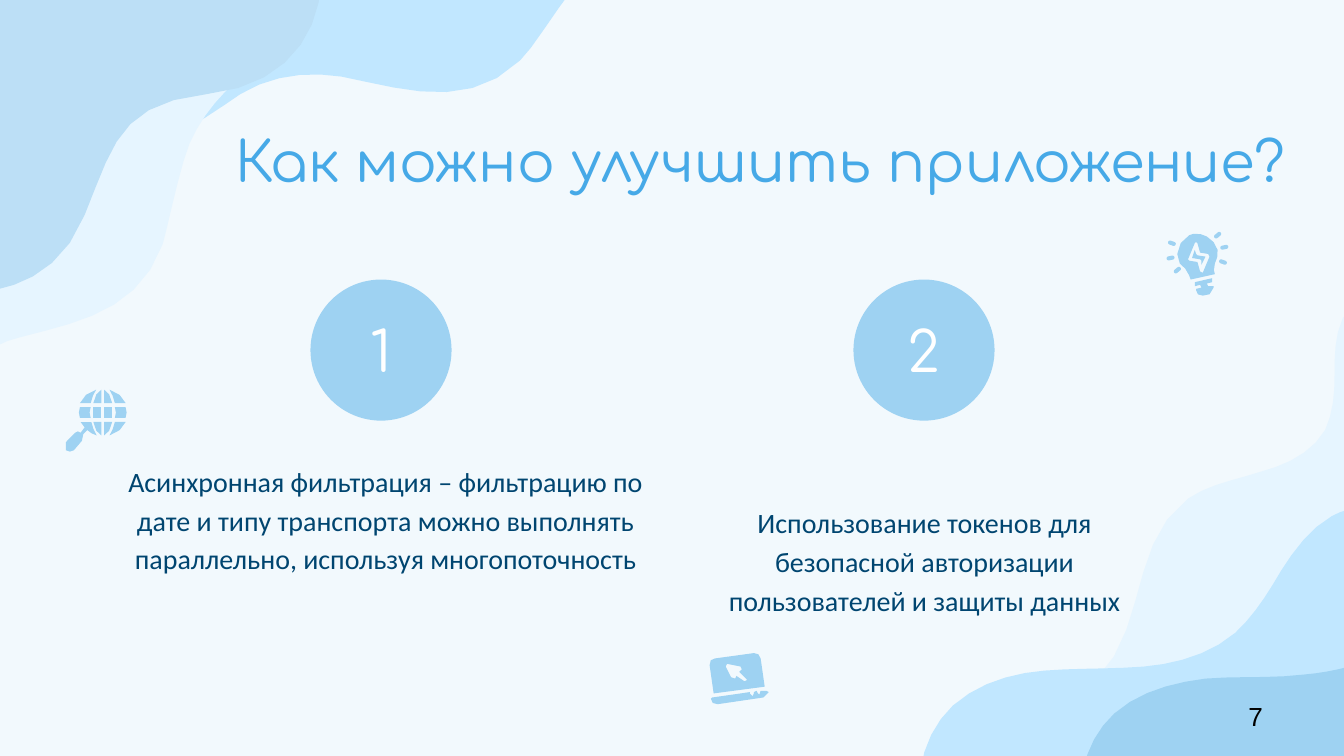
from math import dist, sqrt

from lxml.etree import SubElement
from pptx import Presentation
from pptx.dml.color import RGBColor
from pptx.enum.shapes import MSO_SHAPE
from pptx.enum.text import MSO_ANCHOR, MSO_AUTO_SIZE, PP_ALIGN
from pptx.util import Inches, Pt

THEME = {
    "background": "F2F9FD", "pale": "E6F5FF", "light": "C1E7FF", "mist": "BCDFF6",
    "accent": "9ED2F2", "title": "46A9E7", "body": "004570", "white": "FFFFFF", "black": "000000",
    "heading_font": "Comfortaa", "body_font": "Calibri", "number_font": "Arial",
    "heading_size": 30, "body_size": 15, "number_size": 14,
}

presentation = Presentation()
presentation.slide_width, presentation.slide_height = Inches(10), Inches(5.625)
COLUMN = presentation.slide_width / 10  # the grid is square: a row is as high as a column is wide
slide = presentation.slides.add_slide(presentation.slide_layouts[3])
slide.background.fill.solid()
slide.background.fill.fore_color.rgb = RGBColor.from_string(THEME["background"])


def draw_outline(shapes, outline, color, origin=(0, 0), flip=(1, 1)):
    """Fill closed contours given in grid columns as M, L and C (cubic curve) commands."""
    builder = None
    for contour in outline.split("M")[1:]:
        points = []
        for command in contour.replace("L", "|L").replace("C", "|C").split("|"):
            numbers = [float(word) for word in command.strip("LC ").split()]
            pairs = list(zip(numbers[::2], numbers[1::2]))
            if not command.startswith("C"):
                points += pairs
                continue
            for first in range(0, len(pairs), 3):
                curve = [points[-1], *pairs[first:first + 3]]
                steps = max(1, round(6 * sqrt(dist(curve[0], curve[3]))))  # long curves get more points
                for step in range(1, steps + 1):
                    t = step / steps
                    weights = ((1 - t) ** 3, 3 * t * (1 - t) ** 2, 3 * t * t * (1 - t), t ** 3)
                    points.append(tuple(sum(w * p[axis] for w, p in zip(weights, curve)) for axis in (0, 1)))
        placed = [tuple((o + f * v) * COLUMN for o, f, v in zip(origin, flip, point)) for point in points]
        if builder is None:
            builder = shapes.build_freeform(*placed[0])
        else:
            builder.move_to(*placed[0])
        builder.add_line_segments(placed[1:], close=True)
    paint(builder.convert_to_shape(), color)


def paint(shape, color):
    shape.shadow.inherit = False
    shape.fill.solid()
    shape.fill.fore_color.rgb = RGBColor.from_string(THEME[color])
    shape.line.fill.background()


# Waves in the corners, from back to front
WAVES = [
    ("light", "M 4.62 -.36 C 4.53 -.32 4.45 -.27 4.36 -.19 4.22 -.07 3.98 .35 3.87 .45 3.48 .83 2.99 .66 2.54 .57 "
              "2.28 .53 2.02 .56 1.79 .7 1.59 .83 1.16 1.19 .72 1.05 L 1.03 -.36"),
    ("pale", "M 2.15 .15 C 2.07 .33 1.91 .47 1.76 .6 1.61 .74 1.5 .87 1.41 1.07 1.34 1.24 1.25 1.68 1.21 1.82 "
             "1.03 2.32 .57 2.4 .15 2.51 .05 2.53 -.04 2.58 -.12 2.63 L -.12 .76 -.17 -.17 2.19 -.17 "
             "C 2.21 -.07 2.2 .05 2.15 .15"),
    ("mist", "M -.12 -.15 L 2.39 -.15 C 2.38 .25 2.13 .64 1.54 .7 .88 .77 .84 1.09 .63 1.6 .44 2.08 .04 2.15 -.12 2.17"),
    ("pale", "M 10.04 5.86 L 10.04 2.31 C 10.02 2.33 10 2.35 9.99 2.37 9.93 2.5 9.93 2.65 9.93 2.79 "
             "9.93 2.93 9.92 3.07 9.86 3.2 9.76 3.37 9.57 3.46 9.38 3.51 9.2 3.57 9 3.6 8.84 3.71 "
             "8.4 4.03 8.54 4.69 8.15 5.06 7.86 5.33 7.2 5.37 7.03 5.8"),
    ("light", "M 10.04 5.73 L 10.04 3.79 C 9.99 3.8 9.95 3.82 9.91 3.84 9.75 3.93 9.63 4.09 9.53 4.25 "
              "9.43 4.42 9.33 4.58 9.19 4.71 9 4.87 8.75 4.94 8.51 4.96 8.26 4.98 8.02 4.97 7.77 4.99 "
              "7.53 5.01 7.28 5.08 7.09 5.25 6.96 5.37 6.87 5.55 6.85 5.73"),
    ("accent", "M 10.04 5.73 L 10.04 4.96 C 9.93 4.99 9.82 5.01 9.7 5.02 9.46 5.05 9.21 5.03 8.97 5.05 "
               "8.72 5.08 8.47 5.15 8.29 5.31 8.17 5.42 8.09 5.57 8.06 5.73"),
]
for color, outline in WAVES:
    draw_outline(slide.shapes, outline, color)

# Text: the placeholders come forward over the waves, then the numbered circles
title, first_body, second_body = slide.placeholders
for placeholder in (title, first_body, second_body):
    placeholder.element.getparent().append(placeholder.element)
page_number = slide.shapes.add_textbox(0, 0, 0, 0)
circles = [slide.shapes.add_shape(MSO_SHAPE.OVAL, 0, 0, 0, 0) for _ in range(2)]
for circle in circles:
    paint(circle, "accent")

LEFT, CENTER = PP_ALIGN.LEFT, PP_ALIGN.CENTER
TOP, MIDDLE, BOTTOM = MSO_ANCHOR.TOP, MSO_ANCHOR.MIDDLE, MSO_ANCHOR.BOTTOM
TEXTS = [  # shape, grid box, text, style, colour, alignment, anchor
    (title, (1.65, .64, 8.35, 1.1), "Как можно улучшить приложение?", "heading", "title", LEFT, MIDDLE),
    (first_body, (.81, 3.37, 4.12, 1.23), "Асинхронная фильтрация – фильтрацию по дате и типу транспорта "
     "можно выполнять параллельно, используя многопоточность", "body", "body", CENTER, TOP),
    (second_body, (5.19, 3.41, 3.38, 1.23), "Использование токенов для безопасной авторизации пользователей "
     "и защиты данных", "body", "body", CENTER, BOTTOM),
    (page_number, (9.19, 5.11, .6, .43), "7", "number", "black", LEFT, MIDDLE),
]
for index, circle in enumerate(circles):
    TEXTS.append((circle, (2.31 + 4.04 * index, 2.08, 1.05, 1.05), str(index + 1), "heading", "white", CENTER, MIDDLE))

for shape, box, text, style, color, alignment, anchor in TEXTS:
    for name, value in zip(("left", "top", "width", "height"), box):
        setattr(shape, name, round(value * COLUMN))
    frame = shape.text_frame
    frame.text = text
    paragraph = frame.paragraphs[0]
    inset = Inches(.05 if style == "body" else .1)
    frame_format = {"word_wrap": True, "auto_size": MSO_AUTO_SIZE.NONE, "vertical_anchor": anchor,
                    "margin_left": Inches(.1), "margin_right": Inches(.1), "margin_top": inset, "margin_bottom": inset}
    paragraph_format = {"alignment": alignment, "space_before": Pt(0), "space_after": Pt(0),
                        "line_spacing": 1.15 if style == "body" else 1.0}
    font_format = {"name": THEME[style + "_font"], "size": Pt(THEME[style + "_size"])}
    for target, values in ((frame, frame_format), (paragraph, paragraph_format), (paragraph.runs[0].font, font_format)):
        for name, value in values.items():
            setattr(target, name, value)
    paragraph.runs[0].font.color.rgb = RGBColor.from_string(THEME[color])
    if style == "body":
        properties = paragraph._p.get_or_add_pPr()
        properties.set("marL", "0")
        properties.set("indent", "0")
        SubElement(properties, "{http://schemas.openxmlformats.org/drawingml/2006/main}buNone")
first_body.text_frame.paragraphs[0].space_after = Pt(8)

# Laptop with a cursor
laptop = slide.shapes.add_group_shape().shapes
LAPTOP_BASE = ("M 5.3 5.19 L 5.29 5.2 C 5.29 5.23 5.31 5.24 5.34 5.24 L 5.68 5.19 "
               "C 5.71 5.19 5.72 5.17 5.72 5.15 L 5.7 5.14 5.66 5.14 5.65 5.17 5.64 5.16 5.63 5.14 "
               "5.61 5.15 5.61 5.16 5.6 5.18 5.58 5.16 5.58 5.15")
LAPTOP_SCREEN = ("M 5.41 4.94 L 5.51 4.96 5.52 4.98 5.5 5 5.55 5.05 5.56 5.06 5.54 5.07 5.48 5.03 5.47 5.05 "
                 "5.44 5.04 5.4 4.96 M 5.32 4.9 C 5.29 4.9 5.28 4.92 5.28 4.95 L 5.31 5.16 5.69 5.11 5.66 4.9 "
                 "C 5.66 4.87 5.63 4.86 5.61 4.86")
for outline in (LAPTOP_BASE, LAPTOP_SCREEN):
    draw_outline(laptop, outline, "accent")

# Globe magnifier: its right-hand pieces are mirrored about the centre
globe = slide.shapes.add_group_shape().shapes
GLOBE_CENTER = (.765, 3.07)
INNER_CAP = "M .01 -.17 L .01 -.07 .07 -.07 C .06 -.12 .04 -.16 .01 -.17"
OUTER_CAP = "M .05 -.17 C .07 -.14 .08 -.11 .09 -.07 L .17 -.07 C .15 -.12 .11 -.15 .05 -.17"
INNER_BAND = "M .01 -.04 L .01 .04 .07 .04 .07 -.04"
OUTER_BAND = "M .09 -.04 C .1 -.01 .1 .01 .09 .04 L .17 .04 C .18 .01 .18 -.01 .17 -.04"
HANDLE = ("M .6 3.14 L .63 3.18 .6 3.22 .58 3.21 .56 3.22 .49 3.29 C .48 3.31 .48 3.33 .49 3.35 "
          "L .52 3.36 .55 3.35 .61 3.28 C .63 3.27 .63 3.25 .62 3.23 L .65 3.2 "
          "C .67 3.22 .69 3.23 .72 3.24 .7 3.21 .69 3.18 .68 3.14")
for side in (-1, 1):
    for outline in (INNER_BAND, OUTER_BAND):
        draw_outline(globe, outline, "accent", GLOBE_CENTER, (side, 1))
    for level in (-1, 1):
        draw_outline(globe, INNER_CAP, "accent", GLOBE_CENTER, (side, level))
        if (side, level) != (-1, -1):  # the handle takes the lower left place
            draw_outline(globe, OUTER_CAP, "accent", GLOBE_CENTER, (side, level))
draw_outline(globe, HANDLE, "accent")

# Light bulb with three opposite pairs of rays
bulb = slide.shapes.add_group_shape().shapes
RAY_WIDTH, RAY_HEIGHT = .06, .03
for across, down, angle in ((.2, -.04, -11), (.15, -.13, -40), (.19, .07, 20)):
    for side in (-1, 1):
        ray_box = (8.91 + side * across - RAY_WIDTH / 2, 1.88 + side * down - RAY_HEIGHT / 2, RAY_WIDTH, RAY_HEIGHT)
        ray = bulb.add_shape(MSO_SHAPE.ROUNDED_RECTANGLE, *(round(value * COLUMN) for value in ray_box))
        ray.adjustments[0] = .5
        ray.rotation = angle
        paint(ray, "accent")
BULB_PARTS = [
    "M 8.89 1.86 L 8.87 1.92 8.93 1.93 8.94 1.94 8.94 1.97 8.97 1.91 8.91 1.9 8.9 1.89",
    "M 8.89 2.1 L 8.89 2.13 8.93 2.12 C 8.95 2.11 8.95 2.14 8.94 2.14 L 8.9 2.15 8.9 2.16 "
    "C 8.9 2.19 8.92 2.2 8.95 2.2 L 9 2.19 C 9.02 2.18 9.03 2.16 9.03 2.14 L 9.03 2.13 8.99 2.13 "
    "C 8.97 2.14 8.97 2.11 8.98 2.11 L 9.02 2.1 9.02 2.07",
    "M 8.9 1.8 L 8.91 1.81 8.93 1.88 8.99 1.89 9 1.91 8.95 2.03 8.93 2.02 8.91 1.95 8.85 1.94 8.84 1.93 8.89 1.81 "
    "M 8.88 1.74 L 8.85 1.75 C 8.8 1.78 8.76 1.83 8.76 1.89 8.76 1.95 8.79 1.98 8.82 2 "
    "8.86 2.05 8.84 2.05 8.86 2.08 L 9.04 2.04 C 9.04 2.01 9.02 2.02 9.04 1.96 "
    "9.06 1.93 9.06 1.9 9.06 1.86 9.05 1.82 9.02 1.78 8.98 1.76 8.95 1.74 8.92 1.74 8.88 1.74",
]
for outline in BULB_PARTS:
    draw_outline(bulb, outline, "accent")

presentation.save("out.pptx")
